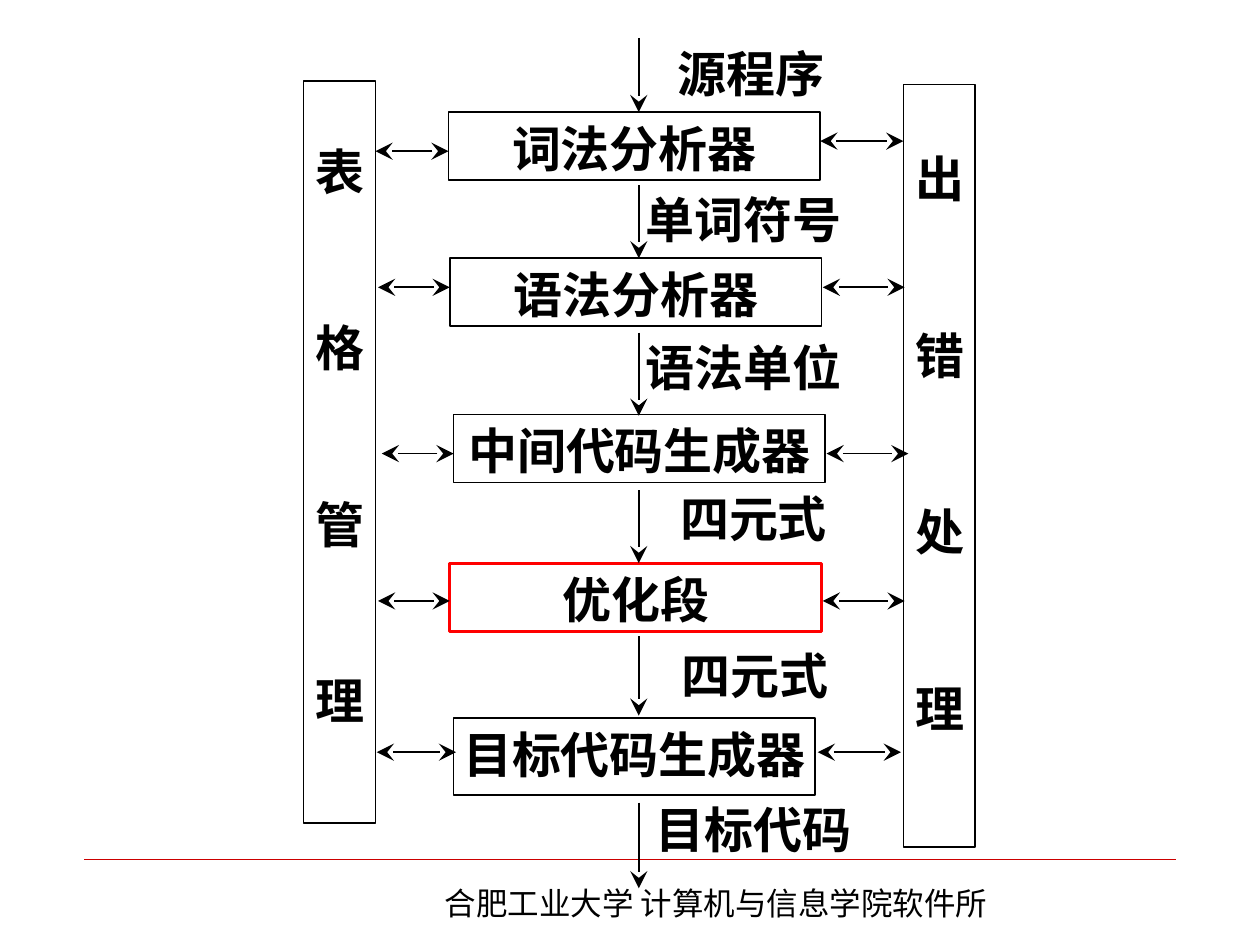
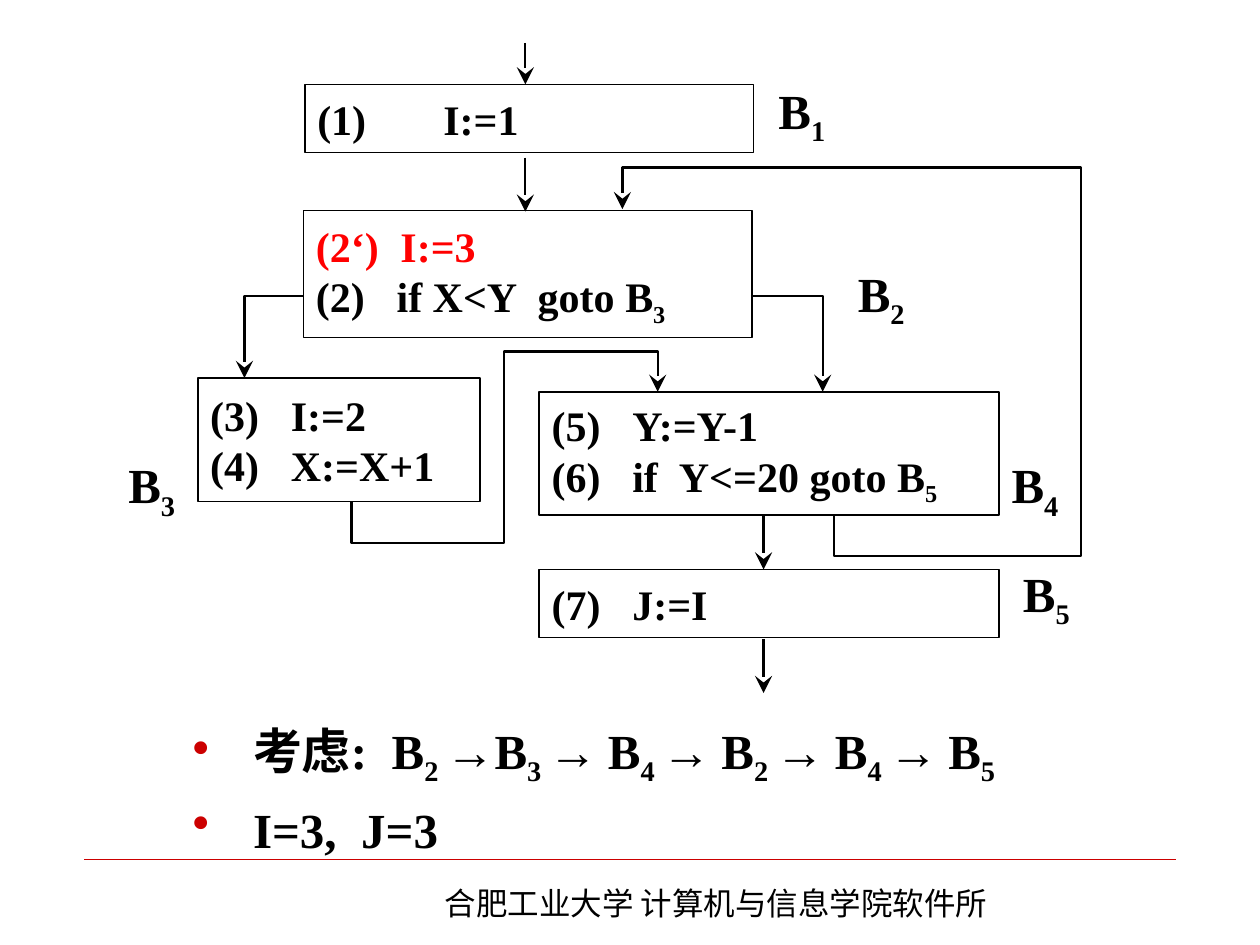
"""Builds two compiler slides: the phases of a compiler and a flow graph."""
from dataclasses import dataclass, replace
from typing import NamedTuple, Optional

from lxml.etree import SubElement
from pptx import Presentation
from pptx.dml.color import RGBColor
from pptx.enum.shapes import MSO_CONNECTOR as Connector, MSO_SHAPE as Shape
from pptx.enum.text import MSO_ANCHOR as Anchor, PP_ALIGN as Align
from pptx.oxml.ns import qn
from pptx.util import Inches, Pt

COLORS = {"ink": "000000", "alert": "FF0000", "accent": "CC0000"}
LATIN, CHINESE, SYMBOL = "Times New Roman", "Noto Sans CJK SC", "Arial"
SLIDE_WIDTH, SLIDE_HEIGHT = Inches(10), Inches(7.5)
CELL = SLIDE_WIDTH / 100
FOOTER = "合肥工业大学 计算机与信息学院软件所"


class Place(NamedTuple):
    """Left, top, width and height in grid cells."""
    left: float
    top: float
    width: float
    height: float


class Piece(NamedTuple):
    """A run of text; extra changes its letter spacing in points."""
    text: str
    subscript: bool = False
    font: Optional[str] = None
    extra: float = 0


@dataclass(frozen=True)
class Line:
    """One paragraph: its pieces, tab stops in cells and look."""
    pieces: tuple[Piece, ...]
    tabs: tuple[float, ...] = ()
    size: float = 28
    color: str = "ink"
    bold: bool = True
    align: Align = Align.LEFT
    before: float = 0
    bullet: bool = False
    font: str = LATIN


@dataclass(frozen=True)
class Box:
    """A text area, outlined when outline names a colour."""
    place: Place
    lines: tuple[Line, ...]
    outline: Optional[str] = None
    weight: float = 1
    anchor: Anchor = Anchor.TOP
    left: float = 1
    right: float = 1
    top: float = 0.5


class Stage(NamedTuple):
    """A compiler phase with the ends of its left and right links."""
    text: str
    place: Place
    left_link: tuple[float, float]
    right_link: tuple[float, float]
    link_rows: tuple[float, float]


class Flow(NamedTuple):
    """A labelled downward arrow between two phases."""
    text: str
    label: Place
    start: float
    end: float


def cells(count: float) -> int:
    """Turn grid cells into slide units."""
    return round(count * CELL)


def color(name: str) -> RGBColor:
    """Look up a colour of the palette."""
    return RGBColor.from_string(COLORS[name])


def plain(text: str, **look) -> Line:
    """Make a paragraph of one piece."""
    return Line((Piece(text),), **look)


def indexed(text: str, index: str, **look) -> Line:
    """Make a paragraph that ends in a subscript."""
    return Line((Piece(text), Piece(index, True)), **look)


def write_line(paragraph, line: Line) -> None:
    """Fill a paragraph and set its look."""
    properties = paragraph._p.get_or_add_pPr()
    if line.bullet:
        properties.set("marL", str(cells(9.9)))
        properties.set("indent", str(cells(-4.8)))
        tint = SubElement(properties, qn("a:buClr"))
        SubElement(tint, qn("a:srgbClr"), val=COLORS["accent"])
        SubElement(properties, qn("a:buChar"), char="•")
    if line.tabs:
        stops = SubElement(properties, qn("a:tabLst"))
        for stop in line.tabs:
            SubElement(stops, qn("a:tab"), pos=str(cells(stop)), algn="l")
    paragraph.alignment = line.align
    if line.before:
        paragraph.space_before = Pt(line.before)
    font = paragraph.font
    font.name, font.size, font.bold = line.font, Pt(line.size), line.bold
    font.color.rgb = color(line.color)
    SubElement(properties.find(qn("a:defRPr")), qn("a:ea"), typeface=CHINESE)
    for piece in line.pieces:
        run = paragraph.add_run()
        run.text = piece.text
        if piece.font:
            run.font.name = piece.font
        if piece.subscript:
            run._r.get_or_add_rPr().set("baseline", "-25000")
        if piece.extra:
            run._r.get_or_add_rPr().set("spc", str(round(piece.extra * 100)))


def draw_box(slide, box: Box) -> None:
    """Draw a box with its paragraphs."""
    bounds = [cells(length) for length in box.place]
    if box.outline:
        shape = slide.shapes.add_shape(Shape.RECTANGLE, *bounds)
        shape.shadow.inherit = False
        shape.fill.background()
        shape.line.color.rgb = color(box.outline)
        shape.line.width = Pt(box.weight)
    else:
        shape = slide.shapes.add_textbox(*bounds)
    frame = shape.text_frame
    frame.word_wrap, frame.vertical_anchor = True, box.anchor
    frame.margin_left, frame.margin_right = cells(box.left), cells(box.right)
    frame.margin_top, frame.margin_bottom = cells(box.top), cells(0.5)
    for number, line in enumerate(box.lines):
        write_line(frame.add_paragraph() if number else frame.paragraphs[0], line)


def draw_route(slide, *points: tuple[float, float], weight: float = 1,
               ends: tuple[str, ...] = ("tailEnd",), tint: str = "ink") -> None:
    """Draw a straight connector, or a bent outline for more points."""
    spots = [(cells(x), cells(y)) for x, y in points]
    if len(spots) == 2:
        shape = slide.shapes.add_connector(Connector.STRAIGHT, *spots[0], *spots[1])
    else:
        builder = slide.shapes.build_freeform(*spots[0])
        builder.add_line_segments(spots[1:], close=False)
        shape = builder.convert_to_shape()
        shape.fill.background()
    shape.line.color.rgb = color(tint)
    shape.line.width = Pt(weight)
    properties = shape._element.spPr
    for end in ends:
        SubElement(properties.find(qn("a:ln")), qn(f"a:{end}"), type="stealth", w="lg", len="lg")
    SubElement(properties, qn("a:effectLst"))


def start_slide(presentation):
    """Add a blank slide with the footer rule and text."""
    slide = presentation.slides.add_slide(presentation.slide_layouts[6])
    draw_route(slide, (6.7, 68.2), (93.3, 68.2), weight=0.25, ends=(), tint="accent")
    footer = plain(FOOTER, size=18, bold=False, font=CHINESE)
    draw_box(slide, Box(Place(34.3, 69.7, 47.2, 4), (footer,)))
    return slide


def build_phases(presentation) -> None:
    """Draw the phases of a compiler between its two side bars."""
    slide = start_slide(presentation)
    stages = (
        Stage("词法分析器", Place(35.6, 8.9, 29.5, 5.4), (35.6, 29.8), (65.1, 71.7), (12, 11.2)),
        Stage("语法分析器", Place(35.7, 20.5, 29.5, 5.4), (35.7, 30), (65.3, 71.8), (22.8, 22.8)),
        Stage("中间代码生成器", Place(36, 32.9, 29.5, 5.4), (36, 30.3), (65.6, 72.1), (36, 36)),
        Stage("优化段", Place(35.7, 44.7, 29.5, 5.4), (35.7, 30), (65.3, 71.8), (47.7, 47.7)),
        Stage("目标代码生成器", Place(36, 57, 28.7, 6.1), (36.2, 29.9), (64.9, 71.5), (59.7, 59.7)),
    )
    flows = (
        Flow("源程序", Place(52.4, 3.9, 14.4, 3.8), 3, 8.9),
        Flow("单词符号", Place(50.8, 15.5, 16.4, 3.8), 14.7, 20.5),
        Flow("语法单位", Place(50.8, 27.2, 16.4, 3.8), 26.4, 33),
        Flow("四元式", Place(52.4, 39.4, 14.8, 3.4), 38.9, 44.7),
        Flow("四元式", Place(52.6, 51.8, 14.6, 3.5), 50.5, 56.8),
        Flow("目标代码", Place(51.6, 63.9, 16.4, 3.8), 63.7, 70.5),
    )
    bars = (("表格管理", Place(24.1, 6.4, 5.7, 58.9), 4.8),
            ("出错处理", Place(71.7, 6.7, 5.7, 60.5), 5.1))
    for stage in stages:
        box = Box(stage.place, (plain(stage.text, align=Align.CENTER),), "ink", left=0.2, right=0.2)
        if stage.text == "优化段":
            box = replace(box, outline="alert", weight=1.75)
        draw_box(slide, box)
        for link, row in zip((stage.left_link, stage.right_link), stage.link_rows):
            draw_route(slide, *((column, row) for column in link), ends=("headEnd", "tailEnd"))
    for flow in flows:
        label = plain(flow.text, align=Align.CENTER)
        draw_box(slide, Box(flow.label, (label,), anchor=Anchor.MIDDLE, left=0, right=0))
        draw_route(slide, (50.7, flow.start), (50.7, flow.end))
    for text, place, top in bars:
        letters = tuple(plain(letter, align=Align.CENTER, before=67.3 if number else 0)
                        for number, letter in enumerate(text))
        draw_box(slide, Box(place, letters, "ink", top=top))


def build_flow_graph(presentation) -> None:
    """Draw the basic blocks, their jumps and the path considered."""
    slide = start_slide(presentation)
    code = {"size": 24, "tabs": (6.4,)}
    blocks = (
        (Place(24.2, 6.7, 35.6, 5.4), (plain("(1)\tI:=1", size=24, tabs=(10,)),)),
        (Place(24.1, 16.7, 35.6, 10.1),
         (plain("(2‘)\tI:=3", size=24, tabs=(6.7,), color="alert"),
          indexed("(2)\tif X<Y\tgoto B", "3", size=24, tabs=(6.4, 17.6)))),
        (Place(15.7, 30, 22.4, 9.8), (plain("(3)\tI:=2", **code), plain("(4)\tX:=X+1", **code))),
        (Place(42.8, 31.1, 36.5, 9.8),
         (plain("(5)\tY:=Y-1", **code),
          indexed("(6)\tif\tY<=20 goto B", "5", size=24, tabs=(6.4, 10.1)))),
        (Place(42.8, 45.2, 36.5, 5.4), (plain("(7)\tJ:=I", **code),)),
    )
    names = ((60.8, 5.8), (67.1, 20.3), (9.2, 35.5), (79.3, 35.5), (80.2, 44.1))
    routes = (
        ((41.7, 3.4), (41.7, 6.7)),
        ((41.7, 12.5), (41.7, 16.8)),
        ((60.6, 40.9), (60.6, 45.2)),
        ((60.6, 50.7), (60.6, 55)),
        ((24.1, 23.5), (19.4, 23.5), (19.4, 30)),
        ((59.6, 23.5), (65.3, 23.5), (65.3, 31.1)),
        ((66.2, 40.8), (66.2, 44.1), (85.8, 44.1), (85.8, 13.3), (49.4, 13.3), (49.4, 16.6)),
        ((27.9, 39.8), (27.9, 43.1), (40, 43.1), (40, 27.9), (52.2, 27.9), (52.2, 31.1)),
    )
    for place, lines in blocks:
        draw_box(slide, Box(place, lines, "ink", anchor=Anchor.MIDDLE))
    for number, (left, top) in enumerate(names, 1):
        draw_box(slide, Box(Place(left, top, 5.1, 6.5), (indexed("B", str(number)),),
                            anchor=Anchor.MIDDLE, right=0))
    for points in routes:
        draw_route(slide, *points, weight=1.25)

    wide_space = Piece(" ", extra=7)
    first, second, *rest = "234245"
    path = [Piece("考虑:"), wide_space, Piece("B"), Piece(f"{first} ", True),
            Piece("→", font=SYMBOL), Piece("B"), Piece(second, True)]
    for block in rest:
        path += [Piece(" ", True), Piece("→ ", font=SYMBOL, extra=-1.7),
                 Piece("B"), Piece(block, True)]
    result = (Piece("I=3,"), wide_space, Piece("J=3"))
    draw_box(slide, Box(Place(9.2, 56.7, 85, 13.3),
                        (Line(tuple(path), bullet=True), Line(result, bullet=True, before=7))))


def main() -> None:
    """Build and save the presentation."""
    presentation = Presentation()
    presentation.slide_width, presentation.slide_height = SLIDE_WIDTH, SLIDE_HEIGHT
    build_phases(presentation)
    build_flow_graph(presentation)
    presentation.save("out.pptx")


if __name__ == "__main__":
    main()
